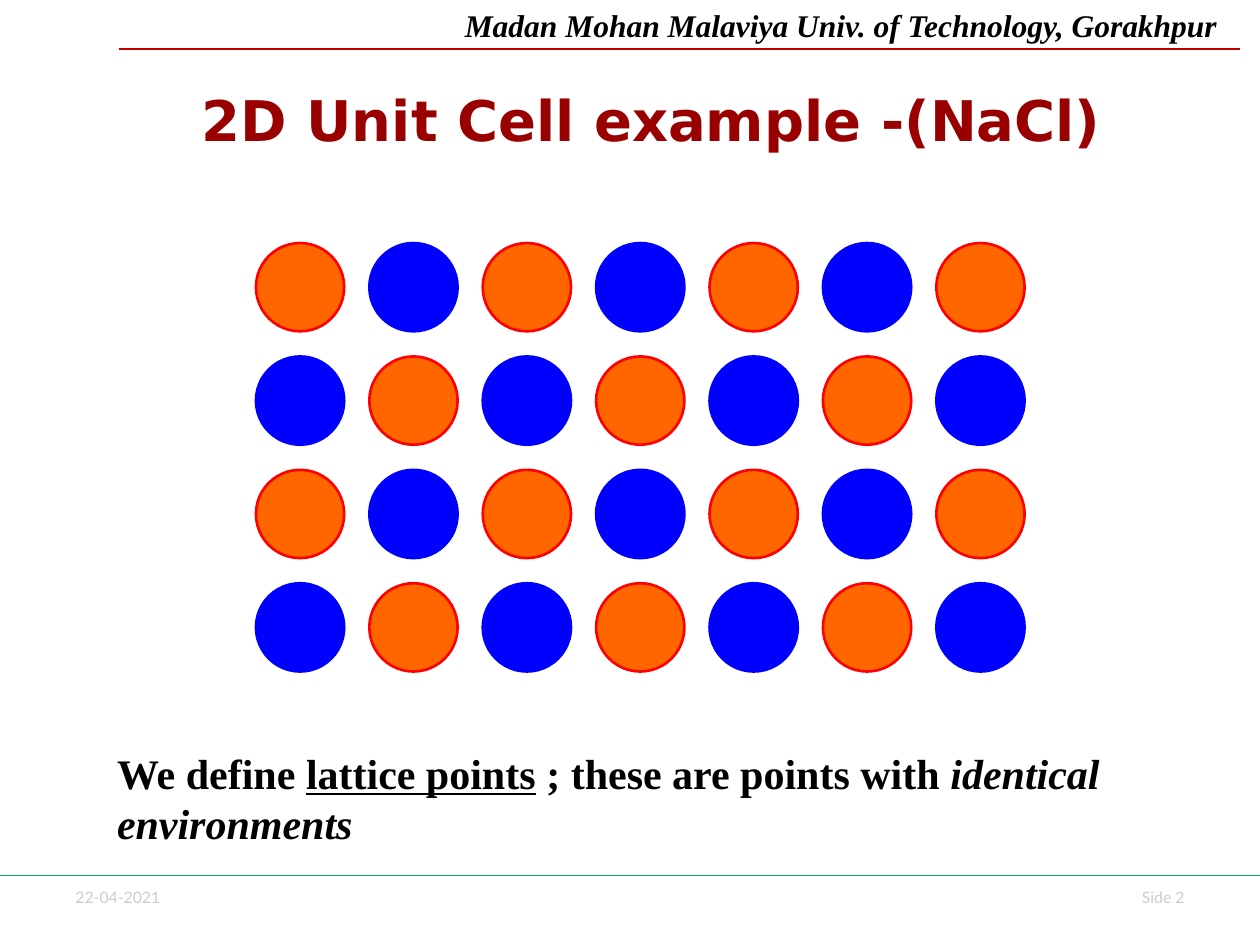
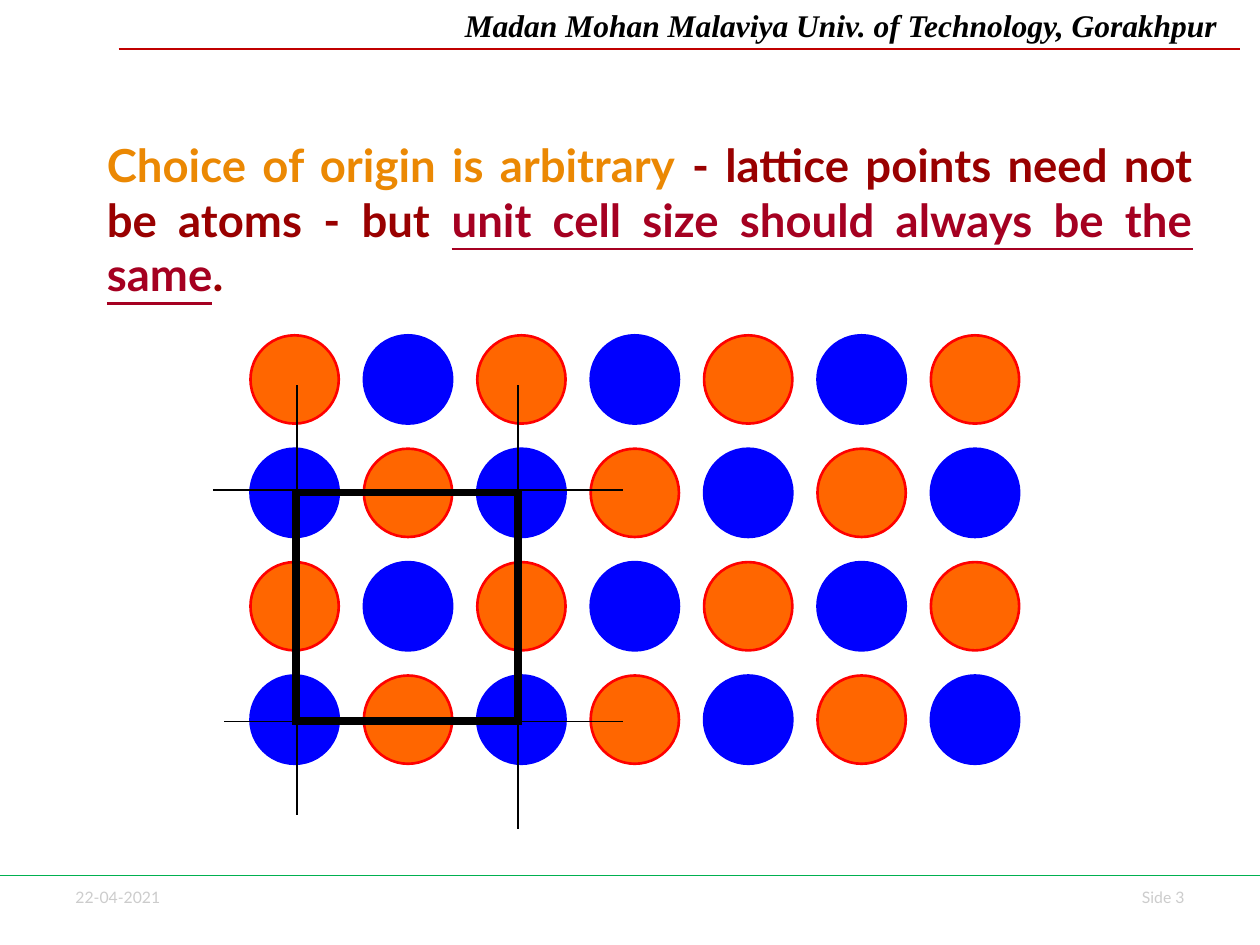
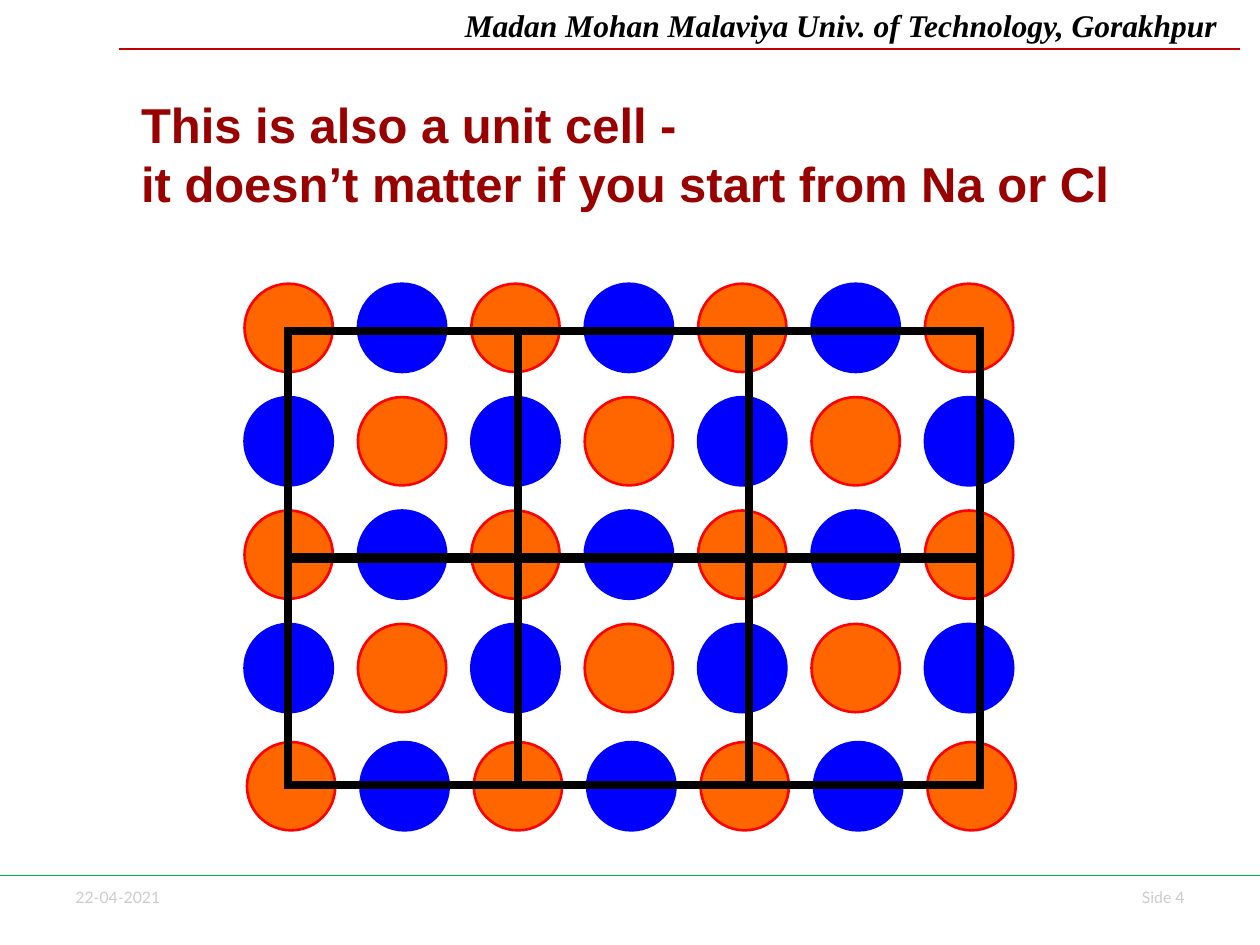
from lxml import etree
from pptx import Presentation
from pptx.dml.color import RGBColor
from pptx.enum.shapes import MSO_CONNECTOR, MSO_SHAPE
from pptx.enum.text import MSO_ANCHOR, MSO_AUTO_SIZE, PP_ALIGN
from pptx.oxml.ns import qn
from pptx.util import Cm, Pt

LINE, OVAL, RECT = MSO_CONNECTOR.STRAIGHT, MSO_SHAPE.OVAL, MSO_SHAPE.RECTANGLE
TOP, MIDDLE = MSO_ANCHOR.TOP, MSO_ANCHOR.MIDDLE
LEFT, RIGHT, JUSTIFY = PP_ALIGN.LEFT, PP_ALIGN.RIGHT, PP_ALIGN.JUSTIFY

# Shared look
BLACK, MAROON, WINE, AMBER = "000000", "990000", "A50021", "EB8803"
GREY, RED, GREEN = "CCCCCC", "C00000", "00B050"
SODIUM, CHLORINE = ("FF6600", "FF0000"), ("0000FF", "0000FF")
SERIF, SANS = "Times New Roman", "Lato"
BALL, PITCH, COLS = 1.78, 2.286, 7
CELL_W, CELL_H, STEP_X, STEP_Y = 4.65, 4.6, 4.65, 4.55

# Content: a run is (text, changes); lengths are in cm
HEADER = "Madan Mohan Malaviya Univ. of Technology, Gorakhpur"
DATE = "22-04-2021"
SLIDES = [
    {
        "title": [("2D Unit Cell example -(NaCl)", {})],
        "box": (3.81, 1.52, 19.89, 1.78), "anchor": MIDDLE, "align": LEFT,
        "style": {"font": "DejaVu Sans", "size": 32, "color": MAROON, "bold": True},
        "grid": (5.16, 4.9, 4),
        "note": [("We define ", {}), ("lattice points", {"under": True}),
                 (" ; these are points with ", {}),
                 ("identical environments", {"italic": True})],
    },
    {
        "title": [("Choice of origin is arbitrary", {"color": AMBER}),
                  (" - lattice points need not be atoms - but ", {}),
                  ("unit cell size should always be the same",
                   {"color": WINE, "under": True}),
                  (".", {})],
        "box": (1.9, 2.64, 22.4, 2.8), "anchor": TOP, "align": JUSTIFY,
        "style": {"font": SANS, "size": 26, "color": MAROON, "bold": True},
        "grid": (5.05, 6.76, 4),
        "guides": [(5.99, 7.77, 5.99, 16.43), (10.44, 7.77, 10.44, 16.71),
                   (4.29, 9.88, 12.55, 9.88), (4.52, 14.55, 12.55, 14.55)],
        "cells": [(5.97, 9.93, 4.47, CELL_H)],
    },
    {
        "title": [("This is also a unit cell - ", {}), ("\n", {}),
                  ("it doesn’t matter if you start from Na or Cl", {})],
        "box": (2.59, 1.78, 22.3, 2.46), "anchor": TOP, "align": LEFT,
        "style": {"font": "Arial", "size": 28, "color": MAROON, "bold": True},
        "grid": (4.93, 5.72, 4),
        "last": (4.98, 14.96),
        "cells": [(5.8 + col * STEP_X, 6.68 + row * STEP_Y, CELL_W, CELL_H)
                  for row in range(2) for col in range(3)],
    },
]


def paint(code):
    return RGBColor.from_string(code)


def write(frame, runs, style, align=LEFT, anchor=TOP):
    frame.word_wrap = True
    frame.auto_size = MSO_AUTO_SIZE.NONE
    frame.vertical_anchor = anchor
    para = frame.paragraphs[0]
    para.alignment = align
    for text, change in runs:
        if text == "\n":
            para.add_line_break()
            continue
        look = {**style, **change}
        run = para.add_run()
        run.text = text
        font = run.font
        font.name, font.size = look["font"], Pt(look["size"])
        font.color.rgb = paint(look["color"])
        font.bold = look.get("bold", False)
        font.italic = look.get("italic", False)
        font.underline = look.get("under", False)


def label(slide, box, runs, style, align=LEFT):
    area = slide.shapes.add_textbox(*map(Cm, box))
    write(area.text_frame, runs, style, align)


def rule(slide, ends, color):
    line = slide.shapes.add_connector(LINE, *map(Cm, ends))
    line.line.color.rgb = paint(color)
    line.line.width = Pt(0.75)
    etree.SubElement(line._element.spPr, qn("a:effectLst"))


def shape(slide, kind, box, fill, edge, width):
    item = slide.shapes.add_shape(kind, *map(Cm, box))
    item.shadow.inherit = False
    if fill:
        item.fill.solid()
        item.fill.fore_color.rgb = paint(fill)
    else:
        item.fill.background()
    item.line.color.rgb = paint(edge)
    item.line.width = Pt(width)
    return item


def atoms(slide, left, top, rows, first=0):
    for row in range(rows):
        for col in range(COLS):
            fill, edge = (SODIUM, CHLORINE)[(first + row + col) % 2]
            box = (left + col * PITCH, top + row * PITCH, BALL, BALL)
            shape(slide, OVAL, box, fill, edge, 1.5)


def cell(slide, box):
    item = shape(slide, RECT, box, None, BLACK, 4.5)
    # Square corners
    edge = item.line._get_or_add_ln()
    etree.SubElement(edge, qn("a:miter")).set("lim", "800000")


def frame(slide, page):
    small = {"font": SANS, "size": 9, "color": GREY}
    head = {"font": SERIF, "size": 18, "color": BLACK, "bold": True, "italic": True}
    label(slide, (1.27, 17.78, 2.62, 0.64), [(DATE, {})], small)
    label(slide, (22.02, 17.78, 2.11, 0.64), [(f"Side {page}", {})], small, RIGHT)
    label(slide, (9.12, 0, 16.28, 1.02), [(HEADER, {})], head)
    rule(slide, (2.39, 0.99, 24.99, 0.99), RED)
    rule(slide, (0, 17.65, 25.4, 17.65), GREEN)


# Build the slides
deck = Presentation()
deck.slide_width, deck.slide_height = Cm(25.4), Cm(19.05)
for page, part in enumerate(SLIDES, 2):
    slide = deck.slides.add_slide(deck.slide_layouts[5])
    frame(slide, page)
    title = slide.shapes.title
    title.left, title.top, title.width, title.height = map(Cm, part["box"])
    write(title.text_frame, part["title"], part["style"], part["align"], part["anchor"])
    atoms(slide, *part["grid"])
    if "last" in part:
        atoms(slide, *part["last"], 1)
    for ends in part.get("guides", []):
        rule(slide, ends, BLACK)
    for box in part.get("cells", []):
        cell(slide, box)
    if "note" in part:
        bold = {"font": SERIF, "size": 24, "color": BLACK, "bold": True}
        label(slide, (2.11, 14.94, 21.62, 2.29), part["note"], bold)
deck.save("out.pptx")
